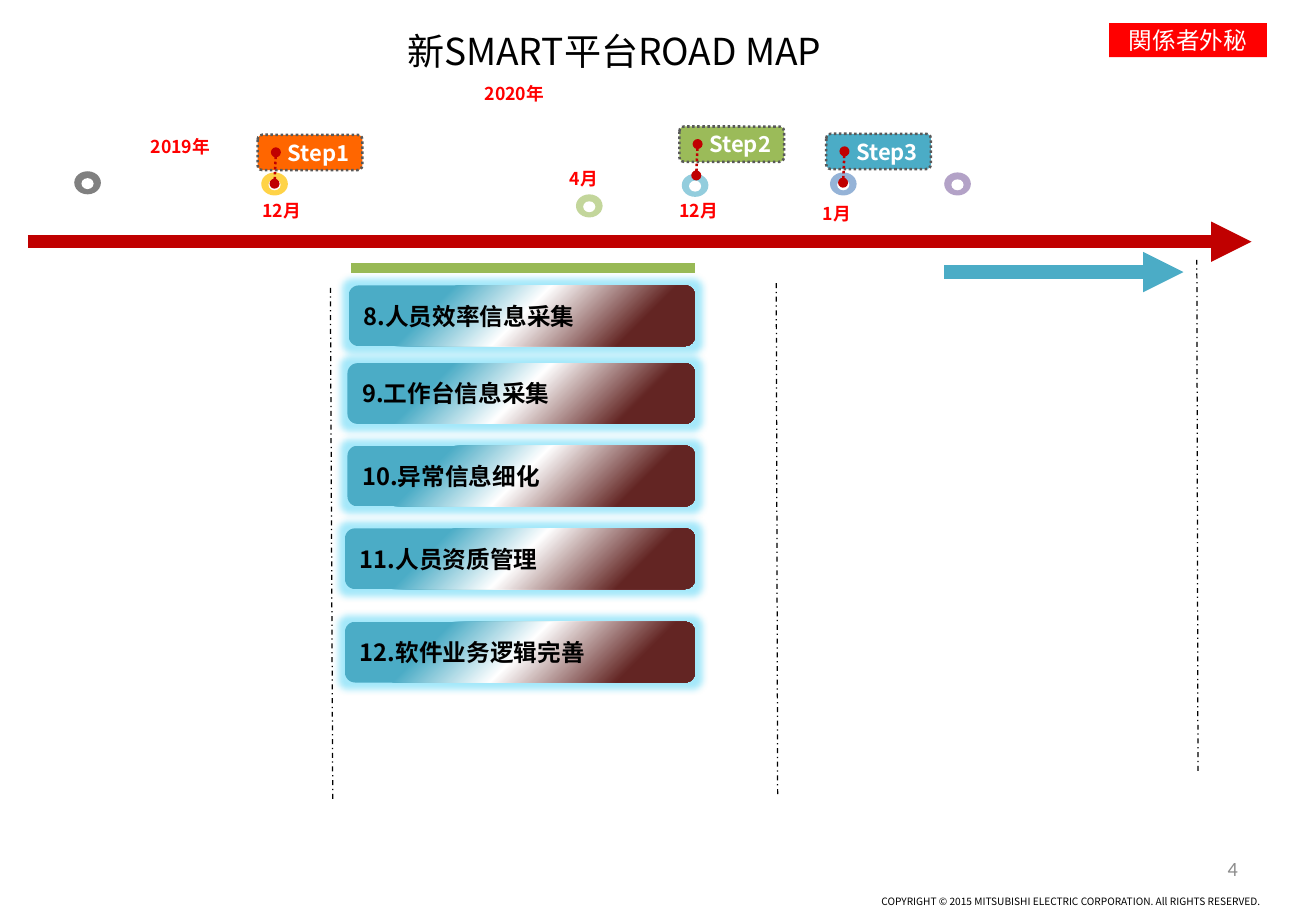
from collections import namedtuple

from lxml import etree
from pptx import Presentation
from pptx import util as u
from pptx.dml.color import RGBColor
from pptx.enum import dml, shapes, text
from pptx.oxml import parse_xml
from pptx.oxml.ns import nsdecls, qn

Box = namedtuple("Box", "left top width height")

BLACK = RGBColor(0x00, 0x00, 0x00)
WHITE = RGBColor(0xFF, 0xFF, 0xFF)
RED = RGBColor(0xFF, 0x00, 0x00)
DARK_RED = RGBColor(0xC0, 0x00, 0x00)
MAROON = RGBColor(0x63, 0x25, 0x23)
ORANGE = RGBColor(0xFF, 0x66, 0x00)
YELLOW = RGBColor(0xFF, 0xD3, 0x47)
GREEN = RGBColor(0x9B, 0xBB, 0x59)
BAR_GREEN = RGBColor(0x98, 0xB9, 0x55)
PALE_GREEN = RGBColor(0xC3, 0xD6, 0x9B)
TEAL = RGBColor(0x4B, 0xAC, 0xC6)
PALE_TEAL = RGBColor(0x93, 0xCD, 0xDD)
PALE_BLUE = RGBColor(0x95, 0xB3, 0xD7)
PURPLE = RGBColor(0xB3, 0xA2, 0xC7)
GREY = RGBColor(0x80, 0x80, 0x80)
PAGE_GREY = RGBColor(0x8C, 0x8C, 0x8C)
BORDER_GREY = RGBColor(0x59, 0x59, 0x59)

SC = "Noto Sans CJK SC"
JP = "Noto Sans CJK JP"
LEFT, CENTER, RIGHT = text.PP_ALIGN.LEFT, text.PP_ALIGN.CENTER, text.PP_ALIGN.RIGHT
TOP, MIDDLE, BOTTOM = text.MSO_ANCHOR.TOP, text.MSO_ANCHOR.MIDDLE, text.MSO_ANCHOR.BOTTOM


def write(shape, words, font=SC, size=14, color=BLACK, bold=False, align=LEFT,
          anchor=MIDDLE, insets=(7.2, 3.6, 7.2, 3.6), wrap=True):
    """Put one formatted paragraph into a shape."""
    frame = shape.text_frame
    frame.auto_size = text.MSO_AUTO_SIZE.NONE
    frame.word_wrap = wrap
    frame.vertical_anchor = anchor
    (frame.margin_left, frame.margin_top,
     frame.margin_right, frame.margin_bottom) = map(u.Pt, insets)
    para = frame.paragraphs[0]
    para.alignment = align
    span = para.add_run()
    span.text = words
    span.font.size = u.Pt(size)
    span.font.bold = bold
    span.font.color.rgb = color
    span.font.name = font
    etree.SubElement(span.font._element, qn("a:ea"), typeface=font)


def add_label(page, box, words, **style):
    """Add a text box."""
    label = page.shapes.add_textbox(*map(u.Pt, box))
    write(label, words, **style)


def add_solid(page, kind, box, color):
    """Add a plain preset shape in one colour."""
    shape = page.shapes.add_shape(kind, *map(u.Pt, box))
    shape.shadow.inherit = False
    shape.fill.solid()
    shape.fill.fore_color.rgb = color
    shape.line.fill.background()
    return shape


def add_line(page, start, end, color, width, dash=None, **ends):
    """Add a straight line with optional dashes and end marks."""
    line = page.shapes.add_connector(
        shapes.MSO_CONNECTOR.STRAIGHT, *map(u.Pt, (*start, *end)))
    line.line.color.rgb = color
    line.line.width = u.Pt(width)
    if dash:
        line.line.dash_style = dash
    for name, mark in ends.items():
        etree.SubElement(line.line._get_or_add_ln(), qn(f"a:{name}"), type=mark)
    etree.SubElement(line._element.spPr, qn("a:effectLst"))


def add_frame(page, box):
    """Place the title, secrecy badge, page number and copyright line."""
    title = page.shapes.title
    title.left, title.top, title.width, title.height = map(
        u.Pt, (box.left + 154, box.top + 16.6, 420, 34))
    write(title, "新SMART平台ROAD MAP", size=22, align=CENTER, anchor=TOP,
          insets=(7.2, 0, 7.2, 0))
    right, bottom = box.left + box.width, box.top + box.height
    badge = add_solid(page, shapes.MSO_SHAPE.RECTANGLE,
                      Box(right - 122.6, box.top + 13.7, 93.6, 20.2), RED)
    write(badge, "関係者外秘", font=JP, color=WHITE, align=CENTER, wrap=False)
    add_label(page, Box(right - 221.2, bottom - 39.6, 182, 28.8), "4",
              font="Calibri", size=12, color=PAGE_GREY, align=RIGHT)
    add_label(page, Box(right - 460.3, bottom - 10.8, 427, 8.6),
              "COPYRIGHT © 2015 MITSUBISHI ELECTRIC CORPORATION. All RIGHTS RESERVED.",
              font=JP, size=6, align=RIGHT, anchor=BOTTOM, insets=(0, 2.9, 0, 0))


def add_ring(page, box, color):
    """Draw a milestone ring with a white centre."""
    add_solid(page, shapes.MSO_SHAPE.OVAL, box, color)
    hole = Box(box.left + 4.3, box.top + 4.1, 7.2, 6.5)
    add_solid(page, shapes.MSO_SHAPE.OVAL, hole, WHITE)


def add_step(page, box, words, color):
    """Draw a step flag with the pin that drops to its ring."""
    flag = add_solid(page, shapes.MSO_SHAPE.ROUNDED_RECTANGLE, box, color)
    flag.adjustments[0] = 0.13
    flag.line.color.rgb = BORDER_GREY
    flag.line.width = u.Pt(1.5)
    flag.line.dash_style = dml.MSO_LINE.ROUND_DOT
    write(flag, words, size=13, color=WHITE, bold=True, insets=(17, 0, 0, 0))
    add_line(page, (box.left + 10.8, box.top + 10.4), (box.left + 10, box.top + 29),
             DARK_RED, 1.5, dml.MSO_LINE.ROUND_DOT, headEnd="oval", tailEnd="oval")


def add_timeline(page, box):
    """Draw the arrows, milestone rings, step flags and dates."""
    left, top = box.left, box.top
    axis = top + box.height
    add_line(page, (left, axis), (left + box.width, axis), DARK_RED, 8,
             tailEnd="triangle")
    add_line(page, (left + 191.5, axis + 15.8), (left + 395.3, axis + 15.8),
             BAR_GREEN, 6)
    add_line(page, (left + 542.9, axis + 18), (left + 684.7, axis + 18), TEAL, 8,
             tailEnd="triangle")
    for x, y, color in ((27.4, 51.5, GREY), (138.2, 52.2, YELLOW),
                        (324.7, 65.2, PALE_GREEN), (387.4, 53, PALE_TEAL),
                        (475.2, 52.2, PALE_BLUE), (542.9, 52.2, PURPLE)):
        add_ring(page, Box(left + x, top + y, 15.8, 13.7), color)
    for x, y, words, color in ((136.1, 29.9, "Step1", ORANGE),
                               (386, 25, "Step2", GREEN),
                               (473, 29.3, "Step3", TEAL)):
        add_step(page, Box(left + x, top + y, 62, 20.9), words, color)
    for x, y, width, height, words in (
            (69.8, 1.1, 72, 72, "2019年"), (267.8, -30.6, 72, 72, "2020年"),
            (136.1, 69.5, 31, 10, "12月"), (318.2, 50.8, 31, 10, "4月"),
            (383, 69.5, 31, 10, "12月"), (468, 71.7, 31, 10, "1月")):
        add_label(page, Box(left + x, top + y, width, height), words, font=JP,
                  size=10.5, color=RED, bold=True, insets=(2.9, 2.9, 0, 2.9))


def add_task(page, box, words):
    """Draw a glowing task bar with a diagonal three-colour gradient."""
    bar = add_solid(page, shapes.MSO_SHAPE.ROUNDED_RECTANGLE, box, TEAL)
    stops = "".join(
        f'<a:gs pos="{share}000"><a:srgbClr val="{color}"/></a:gs>'
        for share, color in ((26, TEAL), (50, WHITE), (81, MAROON)))
    properties = bar._element.spPr
    properties.replace(properties.find(qn("a:solidFill")), parse_xml(
        f'<a:gradFill {nsdecls("a")} rotWithShape="1"><a:gsLst>{stops}</a:gsLst>'
        '<a:lin ang="2700000" scaled="0"/></a:gradFill>'))
    properties.find(qn("a:effectLst")).append(parse_xml(
        f'<a:glow {nsdecls("a")} rad="101600"><a:srgbClr val="{TEAL}">'
        '<a:satMod val="175000"/><a:alpha val="40000"/></a:srgbClr></a:glow>'))
    write(bar, words, bold=True)


def add_tasks(page, box):
    """Place the phase dividers and the task bars of the second phase."""
    for x, y, lean in ((0, 16.6, 1.4), (264.2, 13.8, 0.8), (513.4, 0, 0.7)):
        start = (box.left + x, box.top + y)
        add_line(page, start, (start[0] + lean, start[1] + 304), BLACK, 0.75,
                 dml.MSO_LINE.DASH_DOT)
    right = box.left + 216
    for y, width, words in ((15.2, 205.2, "8.人员效率信息采集"),
                            (61.3, 205.9, "9.工作台信息采集"),
                            (110.2, 205.9, "10.异常信息细化"),
                            (159.2, 207.4, "11.人员资质管理"),
                            (214.6, 207.4, "12.软件业务逻辑完善")):
        add_task(page, Box(right - width, box.top + y, width, 36), words)


def main():
    """Build the road map slide and save it."""
    deck = Presentation()
    deck.slide_width, deck.slide_height = u.Pt(779.8), u.Pt(540)
    page = deck.slides.add_slide(deck.slide_layouts[5])
    add_frame(page, Box(0, 0, 779.8, 540))
    add_timeline(page, Box(16.6, 50, 725, 93.3))
    add_tasks(page, Box(195.8, 154, 514, 321))
    deck.save("out.pptx")


if __name__ == "__main__":
    main()
